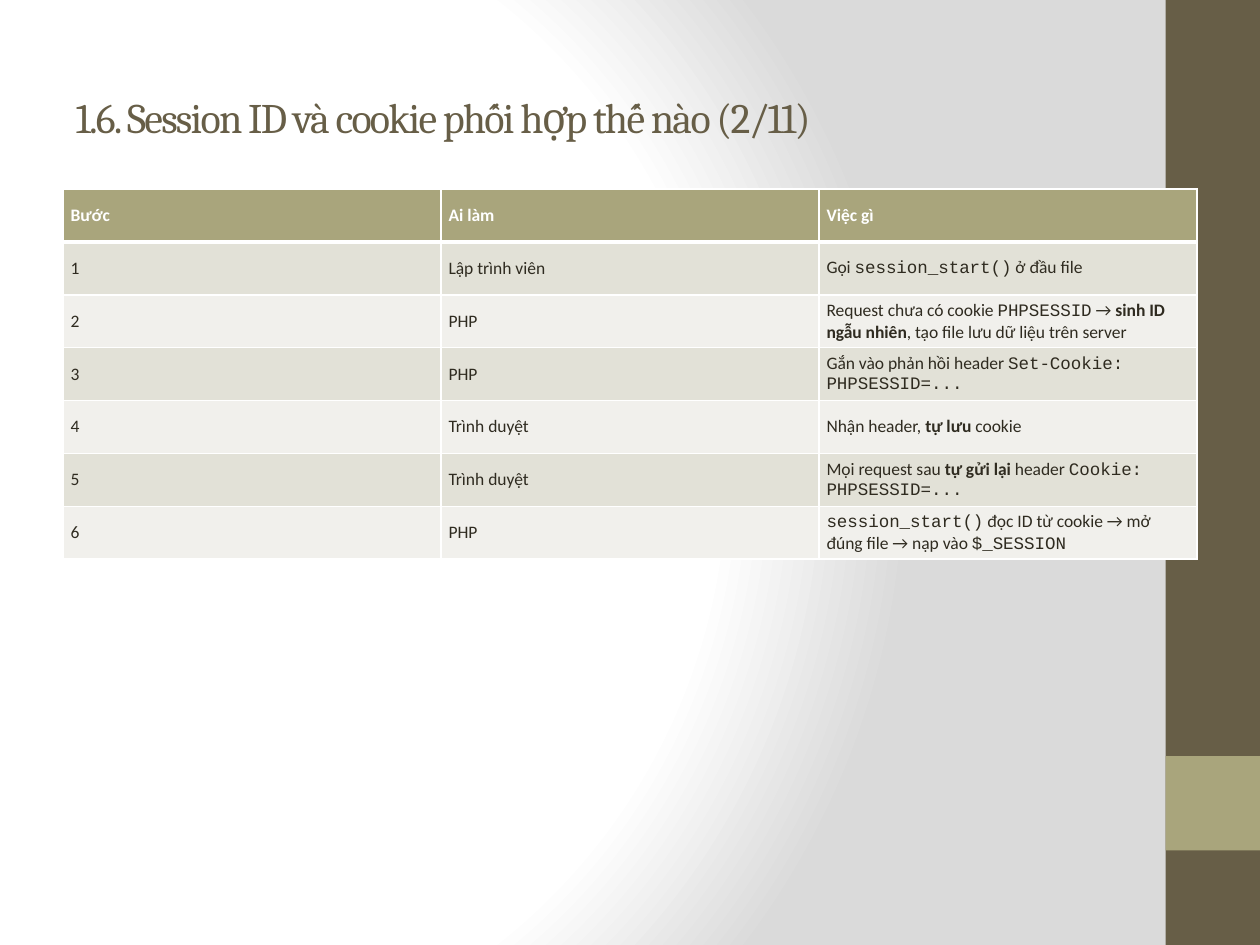
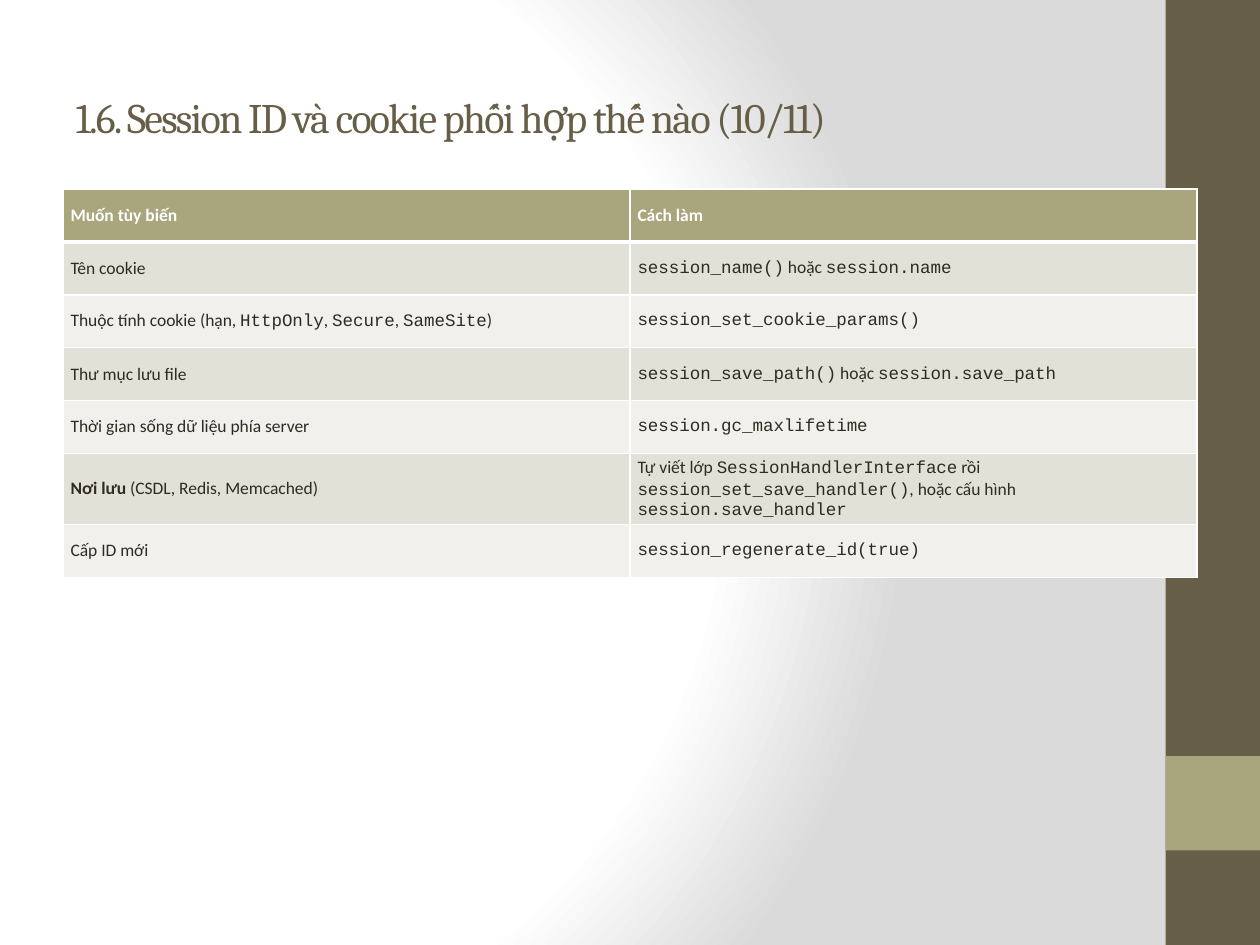
from lxml import etree
from pptx import Presentation
from pptx.dml.color import RGBColor
from pptx.enum.shapes import MSO_SHAPE
from pptx.enum.text import MSO_ANCHOR, PP_ALIGN
from pptx.oxml import parse_xml
from pptx.oxml.ns import nsdecls, qn
from pptx.util import Pt

EMU_PER_PX = 9144
WHITE, GRAY = "FFFFFF", "DADADA"
BROWN, OLIVE, INK = "675E47", "A9A57C", "2F2B20"
ROW_FILLS = ["E2E1D7", "F1F0EC"]
HEADING_FONT, BODY_FONT, CODE_FONT = "Cambria", "Calibri", "Courier New"
GRADIENT_STOPS = [(0, WHITE), (75, WHITE), (100, GRAY)]

SECTION = "1.6. Session ID và cookie phối hợp thế nào"
STEPS = [
    ["Bước", "Ai làm", "Việc gì"],
    ["1", "Lập trình viên", "Gọi `session_start()` ở đầu file"],
    ["2", "PHP", "Request chưa có cookie `PHPSESSID` → *sinh ID ngẫu nhiên*, tạo file lưu dữ liệu trên server"],
    ["3", "PHP", "Gắn vào phản hồi header `Set-Cookie: PHPSESSID=...`"],
    ["4", "Trình duyệt", "Nhận header, *tự lưu* cookie"],
    ["5", "Trình duyệt", "Mọi request sau *tự gửi lại* header `Cookie: PHPSESSID=...`"],
    ["6", "PHP", "`session_start()` đọc ID từ cookie → mở đúng file → nạp vào `$_SESSION`"],
]
CUSTOMIZATIONS = [
    ["Muốn tùy biến", "Cách làm"],
    ["Tên cookie", "`session_name()` hoặc `session.name`"],
    ["Thuộc tính cookie (hạn, `HttpOnly`, `Secure`, `SameSite`)", "`session_set_cookie_params()`"],
    ["Thư mục lưu file", "`session_save_path()` hoặc `session.save_path`"],
    ["Thời gian sống dữ liệu phía server", "`session.gc_maxlifetime`"],
    ["*Nơi lưu* (CSDL, Redis, Memcached)",
     "Tự viết lớp `SessionHandlerInterface` rồi `session_set_save_handler()`, "
     "hoặc cấu hình `session.save_handler`"],
    ["Cấp ID mới", "`session_regenerate_id(true)`"],
]


def px(length):
    return length * EMU_PER_PX


def color(value):
    return RGBColor.from_string(value)


def styled_pieces(text):
    for code_index, part in enumerate(text.split("`")):
        is_code = code_index % 2 == 1
        for bold_index, piece in enumerate([part] if is_code else part.split("*")):
            if piece:
                yield piece, CODE_FONT if is_code else BODY_FONT, bold_index % 2 == 1


class Deck:
    def __init__(self):
        self.presentation = Presentation()
        self.presentation.slide_width = px(1000)
        self.presentation.slide_height = px(750)
        self.slide = None
        self.set_background()

    def set_background(self):
        master = self.presentation.slide_master
        master.background.fill.solid()
        properties = master.element.find(".//" + qn("p:bgPr"))
        stops = "".join(
            f'<a:gs pos="{position * 1000}"><a:srgbClr val="{value}"/></a:gs>'
            for position, value in GRADIENT_STOPS)
        gradient = parse_xml(
            f'<a:gradFill {nsdecls("a")} rotWithShape="1"><a:gsLst>{stops}</a:gsLst>'
            '<a:path path="circle">'
            '<a:fillToRect l="20000" t="50000" r="100000" b="50000"/>'
            '</a:path></a:gradFill>')
        properties.replace(properties.find(qn("a:solidFill")), gradient)

    def add_slide(self, title):
        self.slide = self.presentation.slides.add_slide(self.presentation.slide_layouts[5])
        self.add_band(0, 750, BROWN)
        self.add_band(600, 75, OLIVE)
        self.set_title(title)

    def add_band(self, top, height, fill):
        band = self.slide.shapes.add_shape(
            MSO_SHAPE.RECTANGLE, px(925), px(top), px(75), px(height))
        band.shadow.inherit = False
        band.fill.solid()
        band.fill.fore_color.rgb = color(fill)
        band.line.fill.background()

    def set_title(self, text):
        title = self.slide.shapes.title
        title.left, title.top, title.width, title.height = px(50), px(30), px(833), px(125)
        title.text_frame.text = text
        title.text_frame.vertical_anchor = MSO_ANCHOR.MIDDLE
        paragraph = title.text_frame.paragraphs[0]
        paragraph.alignment = PP_ALIGN.LEFT
        run = paragraph.runs[0]
        self.format_font(run.font, HEADING_FONT, 24, BROWN, False)
        run.font._element.set("spc", "-100")

    def format_font(self, font, name, size, text_color, bold):
        font.name = name
        font.size = Pt(size)
        font.bold = bold
        font.color.rgb = color(text_color)

    def add_table(self, rows):
        column_count = len(rows[0])
        table = self.slide.shapes.add_table(
            len(rows), column_count, px(50), px(150), px(900), px(42 * len(rows))).table
        for column in table.columns:
            column.width = px(900 // column_count)
        for row_index, row in enumerate(rows):
            for column_index, text in enumerate(row):
                self.fill_cell(table.cell(row_index, column_index), text, row_index)

    def fill_cell(self, cell, text, row_index):
        is_header = row_index == 0
        cell.vertical_anchor = MSO_ANCHOR.MIDDLE
        cell.margin_left = cell.margin_right = px(6)
        cell.margin_top = cell.margin_bottom = px(3)
        self.add_borders(cell, row_index)
        cell.fill.solid()
        cell.fill.fore_color.rgb = color(OLIVE if is_header else ROW_FILLS[(row_index - 1) % 2])
        paragraph = cell.text_frame.paragraphs[0]
        for piece, font_name, bold in styled_pieces(text):
            run = paragraph.add_run()
            run.text = piece
            self.format_font(run.font, font_name, 10, WHITE if is_header else INK, is_header or bold)

    def add_borders(self, cell, row_index):
        properties = cell._tc.get_or_add_tcPr()
        widths = {"lnL": 1, "lnR": 1, "lnT": 3 if row_index == 1 else 1,
                  "lnB": 3 if row_index == 0 else 1}
        for side, width in widths.items():
            line = etree.SubElement(properties, qn(f"a:{side}"), w=str(Pt(width)))
            fill = etree.SubElement(line, qn("a:solidFill"))
            etree.SubElement(fill, qn("a:srgbClr"), val=WHITE)


def main():
    deck = Deck()
    for page, rows in [(2, STEPS), (10, CUSTOMIZATIONS)]:
        deck.add_slide(f"{SECTION} ({page}/11)")
        deck.add_table(rows)
    deck.presentation.save("out.pptx")


if __name__ == "__main__":
    main()
